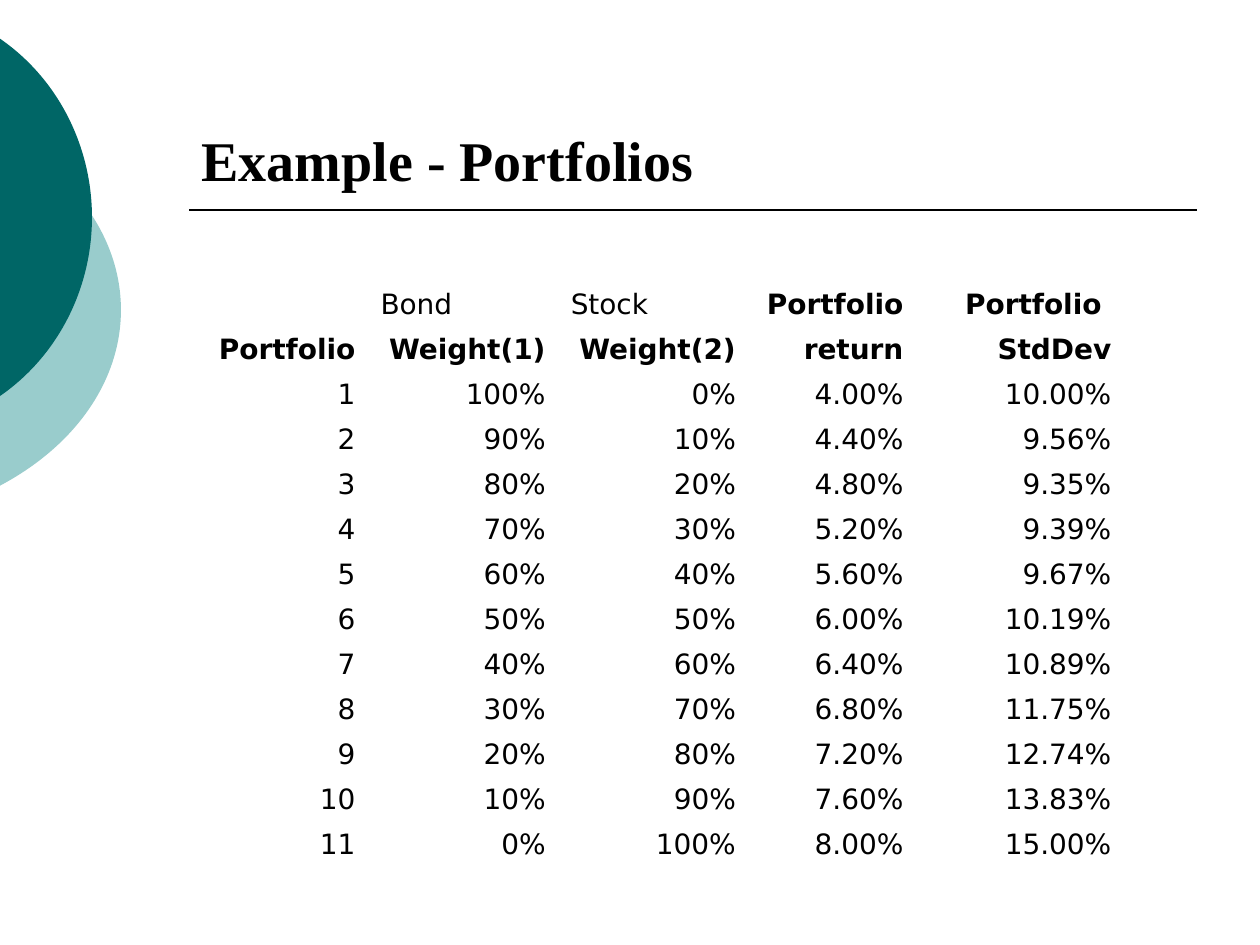
from dataclasses import dataclass

from lxml.etree import SubElement
from pptx import Presentation
from pptx.dml.color import RGBColor
from pptx.enum.shapes import MSO_CONNECTOR
from pptx.enum.text import MSO_ANCHOR, PP_ALIGN
from pptx.oxml.ns import qn
from pptx.slide import Slide
from pptx.table import Table
from pptx.util import Inches, Pt

WIDE, HIGH = 10, 7.5
EDGE = -0.01  # where the discs are cut
BARE = "{2D5ABB26-0587-4C30-8999-92F81FD0307C}"  # table style without grid


@dataclass(frozen=True)
class Theme:
    ink: RGBColor = RGBColor(0, 0, 0)
    deep: RGBColor = RGBColor(0x00, 0x66, 0x66)
    pale: RGBColor = RGBColor(0x99, 0xCC, 0xCC)
    head: str = "Times New Roman"
    body: str = "DejaVu Sans"
    big: int = 32
    small: int = 16


@dataclass(frozen=True)
class Disc:
    """A disc cut by the left slide edge; lengths in inches."""
    left: float
    top: float
    width: float
    height: float
    start: float  # top of the cut
    pull: tuple[float, float]  # first curve handle
    rise: float  # height of the second curve handle
    fill: RGBColor


@dataclass(frozen=True)
class Cell:
    text: str
    bold: bool = False
    align: PP_ALIGN = PP_ALIGN.RIGHT


THEME = Theme()
DISCS = (
    Disc(-3.54, 0.75, 4.5, 3.42, 1.06, (0.6, 1.38), 1.9, THEME.pale),
    Disc(-2.65, 0, 3.38, 3.45, 0.3, (0.46, 0.62), 1.16, THEME.deep),
)
COLS = (2, 1.51, 1.51, 1.33, 1.65)
TALL, ROW = 0.6, 0.32
RISKS = (10, 9.56, 9.35, 9.39, 9.67, 10.19, 10.89, 11.75, 12.74, 13.83, 15)


def draw_disc(slide: Slide, disc: Disc) -> None:
    """Curve from the cut to the middle, then mirror it below."""
    reach, mid = disc.left + disc.width, disc.top + disc.height / 2
    upper = [(EDGE, disc.start), disc.pull, (reach, disc.rise), (reach, mid)]
    lower = [(x, 2 * mid - y) for x, y in reversed(upper[:-1])]

    pen = slide.shapes.build_freeform(scale=1)
    pen.add_line_segments([(Inches(1), Inches(1))])
    shape = pen.convert_to_shape()
    shape.left, shape.top = Inches(disc.left), Inches(disc.top)
    shape.width, shape.height = Inches(disc.width), Inches(disc.height)

    # Curved outline, measured from the frame's corner
    trace = next(shape._element.iter(qn("a:path")))
    trace.clear()
    trace.set("w", str(shape.width))
    trace.set("h", str(shape.height))
    for tag, points in (("a:moveTo", upper[:1]),
                        ("a:cubicBezTo", upper[1:]),
                        ("a:cubicBezTo", lower), ("a:close", [])):
        step = SubElement(trace, qn(tag))
        for x, y in points:
            SubElement(step, qn("a:pt"), x=str(Inches(x - disc.left)),
                       y=str(Inches(y - disc.top)))

    shape.shadow.inherit = False
    shape.fill.solid()
    shape.fill.fore_color.rgb = disc.fill
    shape.line.fill.background()


def draw_rule(slide: Slide) -> None:
    y = Inches(HIGH * 2 / 9)
    rule = slide.shapes.add_connector(
        MSO_CONNECTOR.STRAIGHT, Inches(0.15 * WIDE), y, Inches(0.95 * WIDE), y)
    rule.line.color.rgb = THEME.ink
    rule.line.width = Pt(1)
    SubElement(rule._element.spPr, qn("a:effectLst"))


def set_title(slide: Slide, text: str) -> None:
    title = slide.shapes.title
    title.left, title.top = Inches(0.15 * WIDE), Inches(0.33)
    title.width, title.height = Inches(0.8 * WIDE), Inches(HIGH / 6)
    frame = title.text_frame
    frame.text = text
    frame.vertical_anchor = MSO_ANCHOR.BOTTOM
    para = frame.paragraphs[0]
    para.alignment = PP_ALIGN.LEFT
    para.font.name, para.font.size = THEME.head, Pt(THEME.big)
    para.font.bold = True
    para.font.color.rgb = THEME.ink


def fill_cell(table: Table, row: int, col: int, data: Cell) -> None:
    cell = table.cell(row, col)
    cell.fill.background()
    cell.vertical_anchor = MSO_ANCHOR.BOTTOM
    cell.text = data.text
    para = cell.text_frame.paragraphs[0]
    para.alignment = data.align
    para.font.name, para.font.size = THEME.body, Pt(THEME.small)
    para.font.bold = data.bold
    para.font.color.rgb = THEME.ink


def list_rows() -> list[list[Cell]]:
    """Two heading rows, then weights and returns in equal steps."""
    left = PP_ALIGN.LEFT
    first = [Cell(""), Cell("Bond", align=left), Cell("Stock", align=left),
             Cell("Portfolio", True), Cell("Portfolio ", True)]
    names = ("Portfolio", "Weight(1)", "Weight(2)", "return", "StdDev")
    rows = [first, [Cell(name, True) for name in names]]
    for i, risk in enumerate(RISKS):
        texts = (str(i + 1), f"{100 - 10 * i}%", f"{10 * i}%",
                 f"{4 + 0.4 * i:.2f}%", f"{risk:.2f}%")
        rows.append([Cell(text) for text in texts])
    return rows


def draw_table(slide: Slide, rows: list[list[Cell]]) -> None:
    high = TALL + ROW * (len(rows) - 1)
    table = slide.shapes.add_table(
        len(rows), len(COLS), Inches(0.92), Inches(2),
        Inches(sum(COLS)), Inches(high)).table
    table.first_row = table.horz_banding = False
    next(table._tbl.iter(qn("a:tableStyleId"))).text = BARE
    for col, width in zip(table.columns, COLS):
        col.width = Inches(width)
    for r, row in enumerate(rows):
        table.rows[r].height = Inches(ROW if r else TALL)
        for c, data in enumerate(row):
            fill_cell(table, r, c, data)


def main() -> None:
    deck = Presentation()
    deck.slide_width, deck.slide_height = Inches(WIDE), Inches(HIGH)
    slide = deck.slides.add_slide(deck.slide_layouts[5])

    # Corner discs and title rule
    for disc in DISCS:
        draw_disc(slide, disc)
    draw_rule(slide)

    # Title and table
    set_title(slide, "Example - Portfolios")
    draw_table(slide, list_rows())
    deck.save("out.pptx")


if __name__ == "__main__":
    main()
